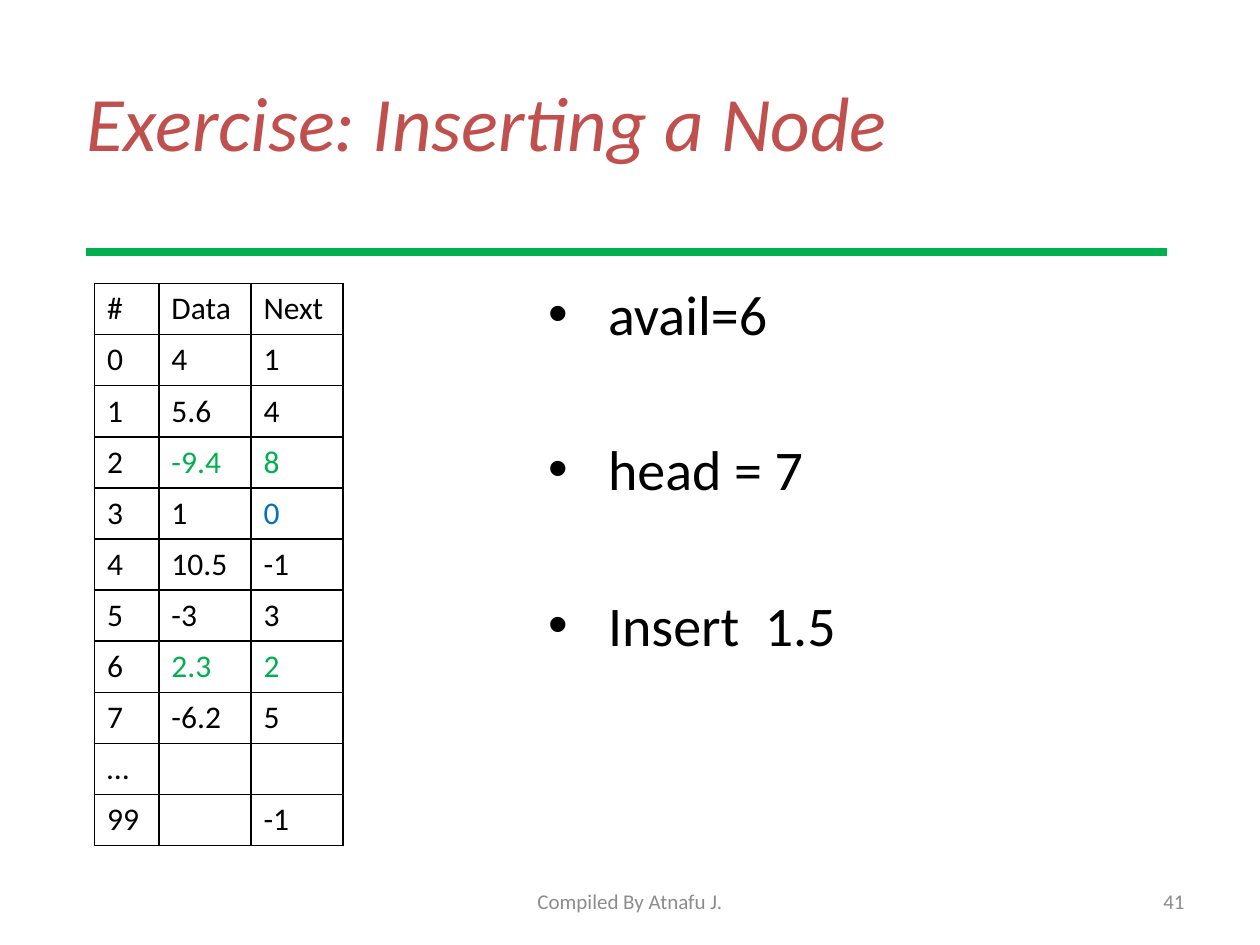
"""Build the slide about inserting a node into an array-based linked list."""
from dataclasses import dataclass

from lxml.etree import SubElement
from pptx import Presentation
from pptx.dml.color import RGBColor
from pptx.enum.text import MSO_ANCHOR, MSO_AUTO_SIZE, PP_ALIGN
from pptx.oxml.ns import qn
from pptx.util import Pt


@dataclass(frozen=True)
class Theme:
    font: str = "Calibri"
    title: str = "C0504D"
    text: str = "000000"
    muted: str = "8C8C8C"
    green: str = "00B050"
    blue: str = "0070C0"
    title_size: float = 44
    body_size: float = 32
    table_size: float = 18
    footer_size: float = 12
    rule_width: float = 4.25
    border_width: float = 1


THEME = Theme()
BULLETS = [" avail=6", " head = 7", " Insert  1.5"]
FIRST_GAP, BULLET_GAP = 2, 50.4
COLUMN_WIDTHS = [36.8, 52.6, 52.6]
ROW_HEIGHT = 29.2
ROWS = [
    ["#", "Data", "Next"],
    ["0", "4", "1"],
    ["1", "5.6", "4"],
    ["2", "-9.4", "8"],
    ["3", "1", "0"],
    ["4", "10.5", "-1"],
    ["5", "-3", "3"],
    ["6", "2.3", "2"],
    ["7", "-6.2", "5"],
    ["…", "", ""],
    ["99", "", "-1"],
]
CELL_COLORS = {
    (3, 1): THEME.green,
    (3, 2): THEME.green,
    (4, 2): THEME.blue,
    (7, 1): THEME.green,
    (7, 2): THEME.green,
}


def add_run(paragraph, text, size, color, italic=False):
    run = paragraph.add_run()
    run.text = text
    run.font.name = THEME.font
    run.font.size = Pt(size)
    run.font.italic = italic
    run.font.color.rgb = RGBColor.from_string(color)


def place(shape, left, top, width, height):
    shape.left, shape.top = Pt(left), Pt(top)
    shape.width, shape.height = Pt(width), Pt(height)


def fill_title(shape, text):
    place(shape, 42, 24, 648, 90)
    shape.text_frame.auto_size = MSO_AUTO_SIZE.NONE
    paragraph = shape.text_frame.paragraphs[0]
    paragraph.alignment = PP_ALIGN.LEFT
    add_run(paragraph, text, THEME.title_size, THEME.title, italic=True)


def fill_bullets(shape, bullets):
    place(shape, 306, 156, 358, 302)
    frame = shape.text_frame
    frame.auto_size = MSO_AUTO_SIZE.NONE
    for index, text in enumerate(bullets):
        paragraph = frame.add_paragraph() if index else frame.paragraphs[0]
        paragraph.space_before = Pt(BULLET_GAP if index else FIRST_GAP)
        add_run(paragraph, text, THEME.body_size, THEME.text)


def add_rule(slide, left, right, top):
    rule = slide.shapes.add_connector(1, Pt(left), Pt(top), Pt(right), Pt(top))
    rule.line.color.rgb = RGBColor.from_string(THEME.green)
    rule.line.width = Pt(THEME.rule_width)
    SubElement(rule.element.spPr, qn("a:effectLst"))


def add_borders(cell):
    properties = cell._tc.get_or_add_tcPr()
    for index, side in enumerate(("a:lnL", "a:lnR", "a:lnT", "a:lnB")):
        border = SubElement(properties, qn(side), w=str(Pt(THEME.border_width)))
        fill = SubElement(border, qn("a:solidFill"))
        SubElement(fill, qn("a:srgbClr"), val=THEME.text)
        properties.insert(index, border)


def add_node_table(slide, left, top):
    table = slide.shapes.add_table(
        len(ROWS), len(COLUMN_WIDTHS), Pt(left), Pt(top),
        Pt(sum(COLUMN_WIDTHS)), Pt(ROW_HEIGHT * len(ROWS)),
    ).table
    table.first_row = table.horz_banding = False
    for column, width in zip(table.columns, COLUMN_WIDTHS):
        column.width = Pt(width)
    for row_index, values in enumerate(ROWS):
        table.rows[row_index].height = Pt(ROW_HEIGHT)
        for column_index, text in enumerate(values):
            cell = table.cell(row_index, column_index)
            cell.fill.background()
            add_borders(cell)
            if text:
                color = CELL_COLORS.get((row_index, column_index), THEME.text)
                add_run(cell.text_frame.paragraphs[0], text, THEME.table_size, color)


def add_footer(slide, text, left, width, alignment):
    box = slide.shapes.add_textbox(Pt(left), Pt(500.4), Pt(width), Pt(28.8))
    frame = box.text_frame
    frame.word_wrap = True
    frame.vertical_anchor = MSO_ANCHOR.MIDDLE
    paragraph = frame.paragraphs[0]
    paragraph.alignment = alignment
    add_run(paragraph, text, THEME.footer_size, THEME.muted)


def main():
    presentation = Presentation()
    presentation.slide_width, presentation.slide_height = Pt(720), Pt(540)
    slide = presentation.slides.add_slide(presentation.slide_layouts[1])
    fill_title(slide.shapes.title, "Exercise: Inserting a Node")
    add_rule(slide, 49, 667, 144)
    add_footer(slide, "41", 516, 168, PP_ALIGN.RIGHT)
    fill_bullets(slide.placeholders[1], BULLETS)
    add_node_table(slide, 54, 162)
    add_footer(slide, "Compiled By Atnafu J.", 246, 228, PP_ALIGN.CENTER)
    presentation.save("out.pptx")


if __name__ == "__main__":
    main()
